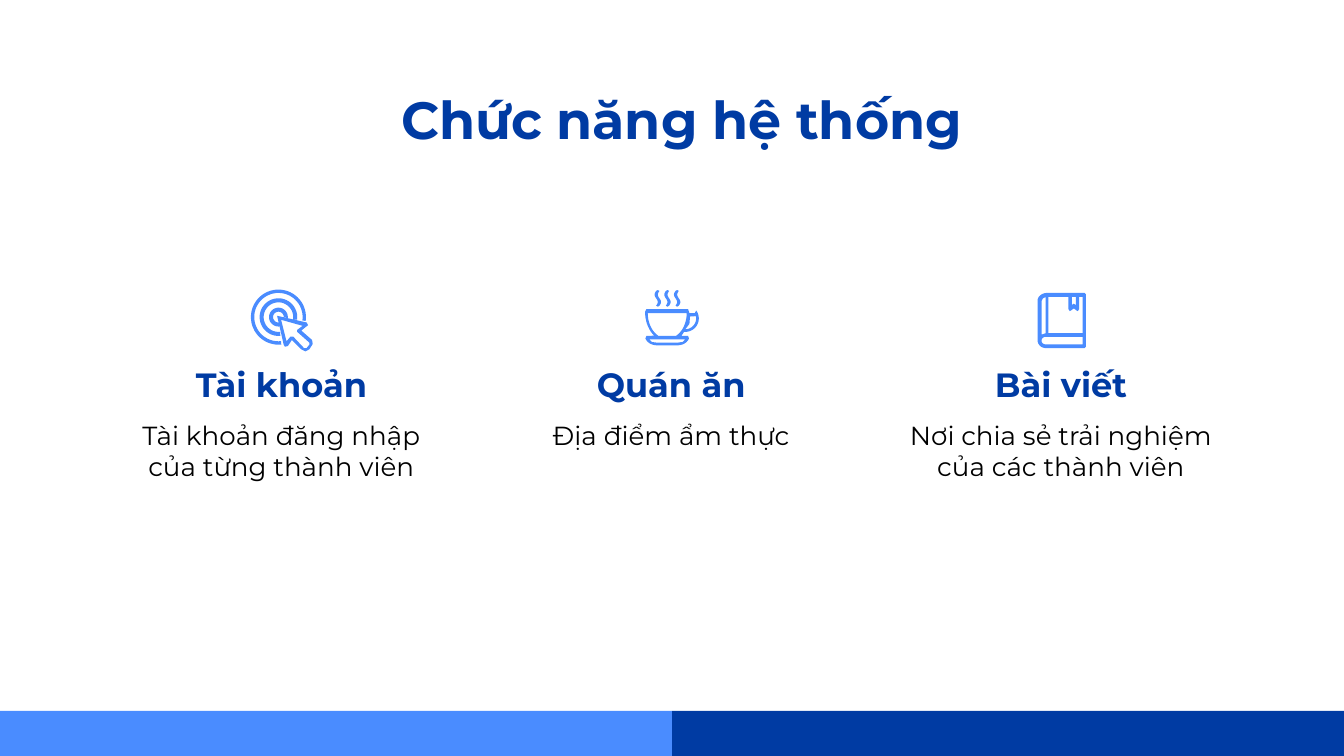
from math import cos, sin, pi, radians
from pptx import Presentation
from pptx.dml.color import RGBColor
from pptx.enum.shapes import MSO_SHAPE
from pptx.enum.text import MSO_ANCHOR, PP_ALIGN
from pptx.util import Pt

THEME = dict(
    font="Montserrat",
    dark=RGBColor(0x00, 0x3B, 0xA3),
    light=RGBColor(0x4A, 0x8C, 0xFF),
    black=RGBColor(0, 0, 0),
    title=28, heading=18, body=14,
)
W, H, BAR_H = 720, 405, 24.2
TITLE = "Chức năng hệ thống"
FEATURES = [
    ("Tài khoản", "Tài khoản đăng nhập của từng thành viên"),
    ("Quán ăn", "Địa điểm ẩm thực"),
    ("Bài viết", "Nơi chia sẻ trải nghiệm của các thành viên"),
]
COL_X, COL_W, COL_STEP = 61.9, 177.8, 208.8
HEAD_Y, HEAD_H, BODY_Y, BODY_H = 187.9, 32.4, 217.4, 56.9
ICON_Y = 154.8
ICON_UNIT = 0.72  # points per icon grid unit


def arc(cx, cy, rx, ry, start, end):
    """Points on an ellipse; degrees run clockwise from the right."""
    n = max(4, abs(end - start) // 6)
    angles = [radians(start + (end - start) * i / n) for i in range(n + 1)]
    return [(cx + rx * cos(a), cy + ry * sin(a)) for a in angles]


def ring(outer, inner):
    """Ring round the target centre, open where the pointer lies."""
    return (arc(0, 21, outer, outer, 84, 368)
            + arc(0, 21, inner, inner, 368, 84))


def box(x1, y1, x2, y2):
    return [(x1, y1), (x2, y1), (x2, y2), (x1, y2)]


def steam(cx):
    """Wavy band; one full sine period from top to bottom."""
    mid = [(cx - 1.2 * sin(2 * pi * i / 12), 1.5 + 11 * i / 12)
           for i in range(13)]
    return ([(x - 1.2, y) for x, y in mid] + [(cx, 13.2)]
            + [(x + 1.2, y) for x, y in reversed(mid)] + [(cx, 0.8)])


# Grid units: x from the icon's axis, y from the top of the icon row.
# Each shape is a list of contours; inner contours are holes.
POINTER = [(-1, 20), (21, 25), (22, 27), (17, 31), (25, 38), (25.5, 41),
           (23, 45), (20, 46.5), (17, 45), (10, 38), (7, 42.5), (5, 43), (4, 42)]
POINTER_HOLE = [(2, 23), (18, 27.5), (14, 30.5), (14, 32), (23, 40),
                (23, 41.5), (21, 44), (19, 44), (11, 35.5), (9, 35.5), (6, 39)]
CUP = [(-19, 15), (12, 15), (13, 18), (17, 18)] \
    + arc(10, 22, 10, 10, -36, 90) + [(9, 32), (7, 35), (12, 35)] \
    + arc(4, 35, 9, 7, 15, 90) + arc(-11, 35, 9, 7, 90, 165) + [(-19, 35)] \
    + arc(-3.5, 17, 16.5, 22, 126, 180)
CUP_HOLE = arc(-3.5, 18, 14.5, 19, 0, 63) + arc(-3.5, 18, 14.5, 19, 117, 180)
HANDLE_HOLE = [(13.5, 20.5)] + arc(10, 22, 8, 8, -12, 90) + [(13, 26)]
SAUCER_HOLE = [(-17, 37.5), (10, 37.5), (8, 39.5), (4, 40), (-11, 40), (-15, 39.5)]
BOOK = arc(-11, 9, 7, 6, 180, 270) + [(17, 3), (18, 4), (18, 43), (17, 44)] \
    + arc(-12, 38, 6, 6, 90, 180)
SPINE_HOLE = [(-12, 6), (-12, 33), (-15, 34), (-15, 9), (-14, 7)]
PAGE_HOLE = [(-10, 6), (5, 6), (5, 15), (6, 16.5), (7, 16), (9, 14.5),
             (11, 16), (12, 16.5), (13, 15), (13, 6), (15.5, 6), (15.5, 33), (-10, 33)]
RIBBON_HOLE = [(7.5, 6), (10.5, 6), (10.5, 12), (9, 11), (7.5, 12)]
FOOT_HOLE = arc(-12, 38.5, 3, 2.8, 90, 270) + [(15.5, 35.7), (15.5, 41.3)]

ICONS = [
    (149.2, [[ring(20.5, 18), ring(14, 11), ring(7, 4), POINTER, POINTER_HOLE]]),
    (360, [[steam(x)] for x in (-10.5, -3.3, 3.9)]
     + [[CUP, CUP_HOLE, HANDLE_HOLE, SAUCER_HOLE]]),
    (568.8, [[BOOK, SPINE_HOLE, PAGE_HOLE, RIBBON_HOLE, FOOT_HOLE]]),
]


def paint(sp, color):
    sp.shadow.inherit = False
    sp.fill.solid()
    sp.fill.fore_color.rgb = color
    sp.line.fill.background()


def add_bar(s, x, color):
    paint(s.shapes.add_shape(MSO_SHAPE.RECTANGLE, Pt(x), Pt(H - BAR_H),
                             Pt(W / 2), Pt(BAR_H)), color)


def add_icon_shape(s, axis, contours):
    paths = [[(Pt(axis + x * ICON_UNIT), Pt(ICON_Y + y * ICON_UNIT))
              for x, y in c] for c in contours]
    builder = s.shapes.build_freeform(*paths[0][0])
    for i, pts in enumerate(paths):
        if i:
            builder.move_to(*pts[0])
        builder.add_line_segments(pts[1:], close=True)
    paint(builder.convert_to_shape(), THEME["light"])


def add_text(s, text, x, y, w, h, size, color, bold=False,
             align=PP_ALIGN.CENTER):
    tf = s.shapes.add_textbox(Pt(x), Pt(y), Pt(w), Pt(h)).text_frame
    frame = dict(word_wrap=True, vertical_anchor=MSO_ANCHOR.TOP,
                 margin_left=Pt(7.2), margin_right=Pt(7.2),
                 margin_top=Pt(7.2), margin_bottom=Pt(7.2))
    for name, value in frame.items():
        setattr(tf, name, value)
    p = tf.paragraphs[0]
    p.alignment = align
    r = p.add_run()
    r.text = text
    for name, value in dict(name=THEME["font"], size=Pt(THEME[size]),
                            bold=bold).items():
        setattr(r.font, name, value)
    r.font.color.rgb = THEME[color]


def main():
    prs = Presentation()
    prs.slide_width, prs.slide_height = Pt(W), Pt(H)
    s = prs.slides.add_slide(prs.slide_layouts[6])
    add_bar(s, W / 2, THEME["dark"])
    add_bar(s, 0, THEME["light"])
    for i, (heading, body) in enumerate(FEATURES):
        x = COL_X + i * COL_STEP
        add_text(s, heading, x, HEAD_Y, COL_W, HEAD_H, "heading", "dark", True)
        add_text(s, body, x, BODY_Y, COL_W, BODY_H, "body", "black")
    for axis, shapes in ICONS:
        for contours in shapes:
            add_icon_shape(s, axis, contours)
    add_text(s, TITLE, 203, 39.6, 319.7, 56.9, "title", "dark", True,
             PP_ALIGN.RIGHT)
    prs.save("out.pptx")


if __name__ == "__main__":
    main()
